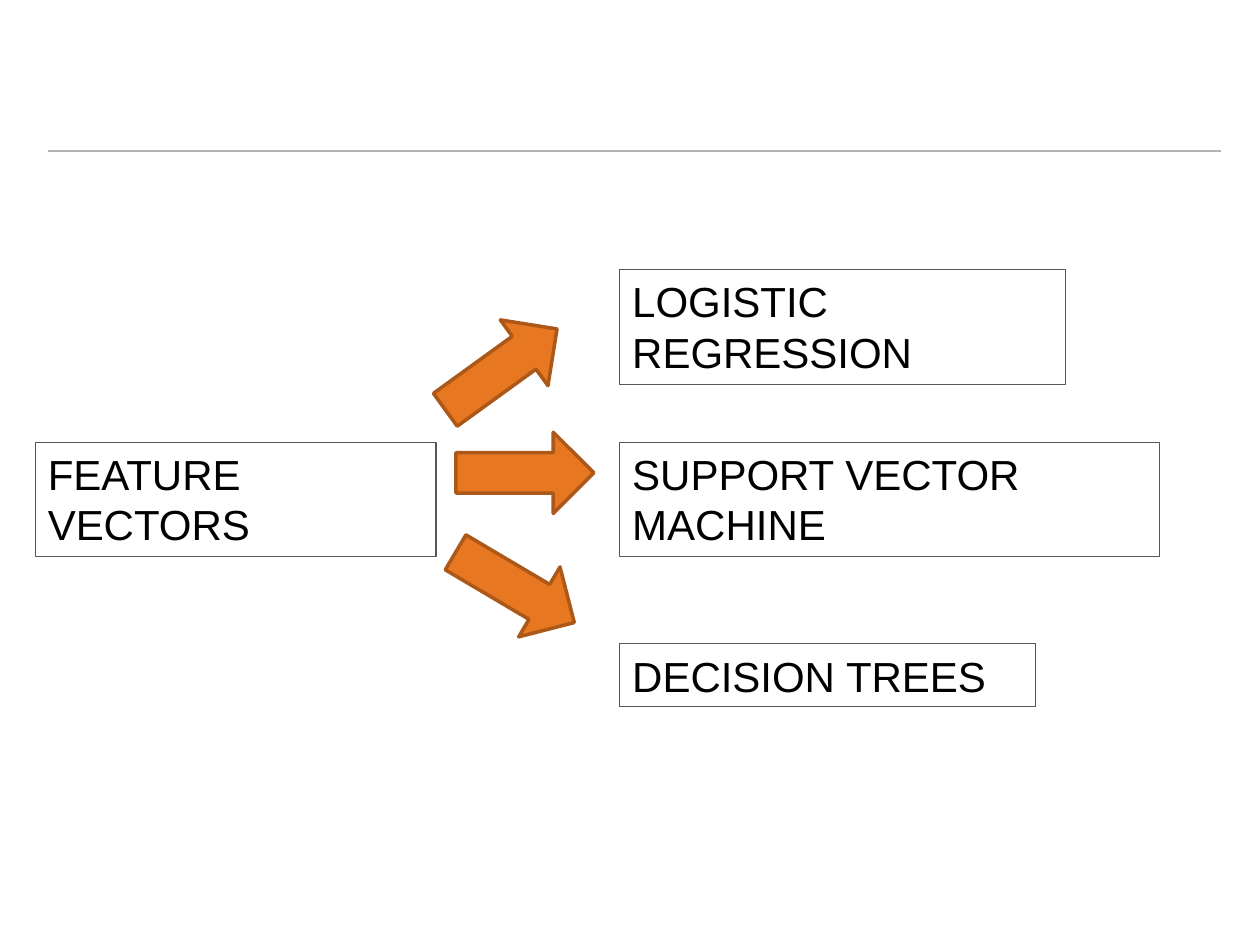
"""Build a slide that links feature vectors to three classifiers."""
import pptx
import pptx.util
import pptx.dml.color
import pptx.enum.shapes
import pptx.enum.text
import pptx.oxml

Pt = pptx.util.Pt
SHAPES = pptx.enum.shapes.MSO_SHAPE
COLORS = {"rule": "B1B3B3", "border": "55565A", "text": "000000",
          "arrow": "E87722", "arrow_edge": "AC5819"}
PAGE_SIZE = (720, 540)
RULE = (27.4, 697.7, 86.4)
INPUT_LEFT, MODEL_LEFT = 20.2, 354.2
BOXES = [
    ("FEATURE VECTORS", INPUT_LEFT, 252.7, 229, 65.5),
    ("LOGISTIC REGRESSION", MODEL_LEFT, 154.1, 254.9, 65.5),
    ("SUPPORT VECTOR MACHINE", MODEL_LEFT, 252.7, 308.2, 65.5),
    ("DECISION TREES", MODEL_LEFT, 367.9, 237.6, 36),
]
ARROW_SIZE = (78.8, 46.4)
ARROWS = [(247, 187.9, 324.1), (260.6, 247, 0), (254.9, 312.5, 30.6)]
FRAME_FORMAT = {
    "word_wrap": True,
    "auto_size": pptx.enum.text.MSO_AUTO_SIZE.SHAPE_TO_FIT_TEXT,
    "vertical_anchor": pptx.enum.text.MSO_ANCHOR.TOP,
}
FONT_FORMAT = {"name": "Arial", "size": Pt(24)}


def color(name):
    return pptx.dml.color.RGBColor.from_string(COLORS[name])


def apply_format(target, values):
    for name, value in values.items():
        setattr(target, name, value)


def set_line(shape, name, width):
    shape.line.color.rgb = color(name)
    shape.line.width = Pt(width)


def add_plain_shape(page, kind, *bounds):
    shape = page.shapes.add_shape(kind, *map(Pt, bounds))
    shape.shadow.inherit = False
    return shape


def add_rule(page):
    left, right, top = RULE
    rule = page.shapes.add_connector(
        pptx.enum.shapes.MSO_CONNECTOR.STRAIGHT, *map(Pt, (left, top, right, top)))
    set_line(rule, "rule", 1)
    rule._element.spPr.append(pptx.oxml.parse_xml(
        '<a:effectLst xmlns:a="http://schemas.openxmlformats.org/drawingml/2006/main"/>'))


def add_box(page, text, *bounds):
    box = add_plain_shape(page, SHAPES.RECTANGLE, *bounds)
    box.fill.background()
    set_line(box, "border", 0.75)
    apply_format(box.text_frame, FRAME_FORMAT)
    para = box.text_frame.paragraphs[0]
    para.alignment = pptx.enum.text.PP_ALIGN.LEFT
    span = para.add_run()
    span.text = text
    apply_format(span.font, FONT_FORMAT)
    span.font.color.rgb = color("text")


def add_arrow(page, left, top, angle):
    arrow = add_plain_shape(page, SHAPES.RIGHT_ARROW, left, top, *ARROW_SIZE)
    arrow.rotation = angle
    arrow.fill.solid()
    arrow.fill.fore_color.rgb = color("arrow")
    set_line(arrow, "arrow_edge", 2)


def main():
    deck = pptx.Presentation()
    deck.slide_width, deck.slide_height = map(Pt, PAGE_SIZE)
    page = deck.slides.add_slide(deck.slide_layouts[6])
    add_rule(page)
    for box in BOXES:
        add_box(page, *box)
    for arrow in ARROWS:
        add_arrow(page, *arrow)
    deck.save("out.pptx")


if __name__ == "__main__":
    main()
